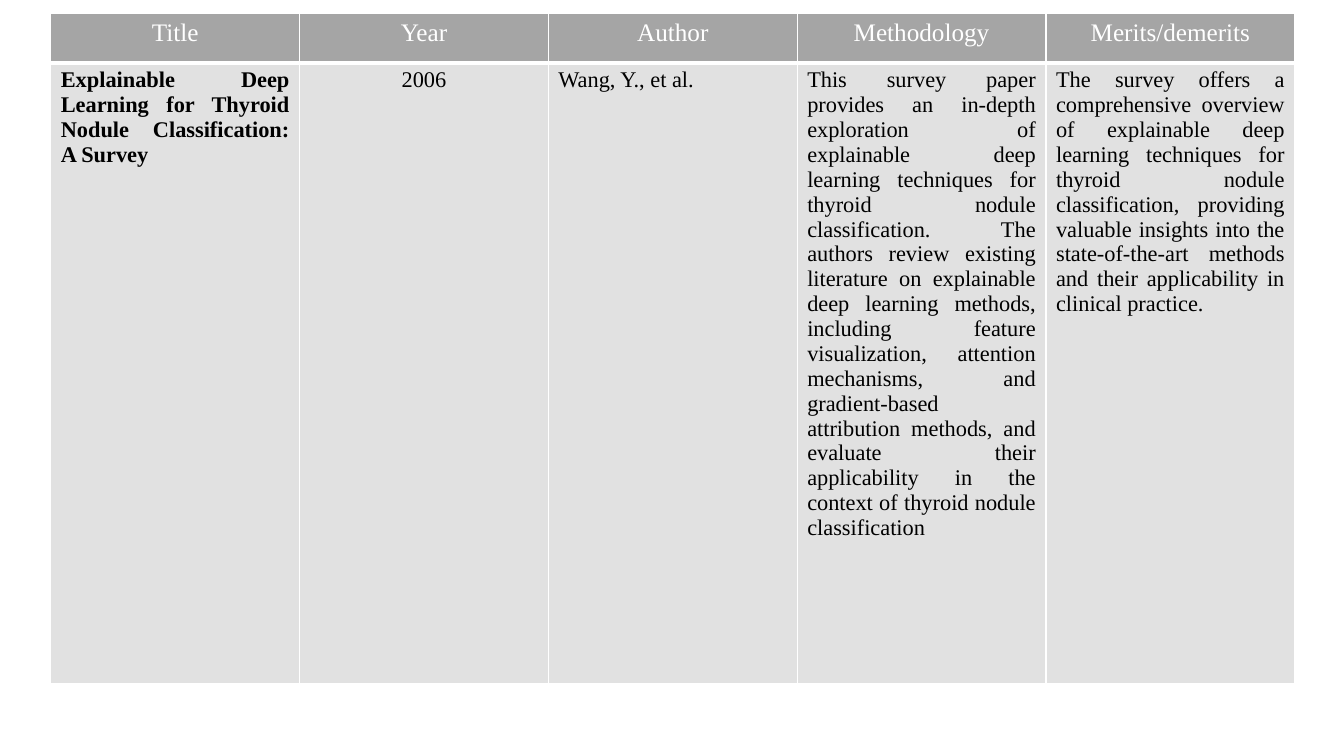
from lxml import etree
from pptx import Presentation
from pptx import util as u
from pptx.dml import color
from pptx.enum import text
from pptx.oxml import ns

CENTER = text.PP_ALIGN.CENTER
JUSTIFY = text.PP_ALIGN.JUSTIFY
HEADER = {
    "fill": "A5A5A5", "color": "FFFFFF", "bottom": 3,
    "font": {"name": "Times New Roman", "size": u.Pt(18), "bold": False},
}
BODY = {
    "fill": "E1E1E1", "color": "000000", "bottom": 1,
    "font": {"name": "Times New Roman", "size": u.Pt(16), "bold": False},
}
COLUMNS = ["Title", "Year", "Author", "Methodology", "Merits/demerits"]
SURVEY = [
    ("Explainable Deep Learning for Thyroid Nodule Classification: A Survey", JUSTIFY),
    ("2006", CENTER),
    ("Wang, Y., et al.", JUSTIFY),
    ("This survey paper provides an in-depth exploration of explainable deep "
     "learning techniques for thyroid nodule classification. The authors review "
     "existing literature on explainable deep learning methods, including feature "
     "visualization, attention mechanisms, and gradient-based attribution methods, "
     "and evaluate their applicability in the context of thyroid nodule "
     "classification", JUSTIFY),
    ("The survey offers a comprehensive overview of explainable deep learning "
     "techniques for thyroid nodule classification, providing valuable insights "
     "into the state-of-the-art methods and their applicability in clinical "
     "practice. ", JUSTIFY),
]


def rgb(value):
    return color.RGBColor.from_string(value)


def add_borders(cell, bottom):
    properties = cell._tc.get_or_add_tcPr()
    for side, width in {"L": 1, "R": 1, "T": 1, "B": bottom}.items():
        line = etree.SubElement(properties, ns.qn(f"a:ln{side}"), w=str(u.Pt(width)))
        fill = etree.SubElement(line, ns.qn("a:solidFill"))
        etree.SubElement(fill, ns.qn("a:srgbClr"), val="FFFFFF")


def fill_cell(cell, words, align, style):
    add_borders(cell, style["bottom"])
    cell.fill.solid()
    cell.fill.fore_color.rgb = rgb(style["fill"])
    para = cell.text_frame.paragraphs[0]
    para.alignment = align
    span = para.add_run()
    span.text = words
    for name, value in style["font"].items():
        setattr(span.font, name, value)
    span.font.color.rgb = rgb(style["color"])
    return span


def add_survey_table(page):
    frame = page.shapes.add_table(
        2, len(COLUMNS), u.Cm(1.28), u.Cm(0.34), u.Cm(31.35), u.Cm(16.89))
    table = frame.table
    for row, height in zip(table.rows, (1.24, 15.65)):
        row.height = u.Cm(height)
    for index, (heading, entry) in enumerate(zip(COLUMNS, SURVEY)):
        table.columns[index].width = u.Cm(6.27)
        fill_cell(table.cell(0, index), heading, CENTER, HEADER)
        span = fill_cell(table.cell(1, index), *entry, BODY)
        span.font.bold = heading == "Title"


def main():
    deck = Presentation()
    deck.slide_width, deck.slide_height = u.Cm(33.87), u.Cm(19.05)
    page = deck.slides.add_slide(deck.slide_layouts[6])
    add_survey_table(page)
    deck.save("out.pptx")


if __name__ == "__main__":
    main()
